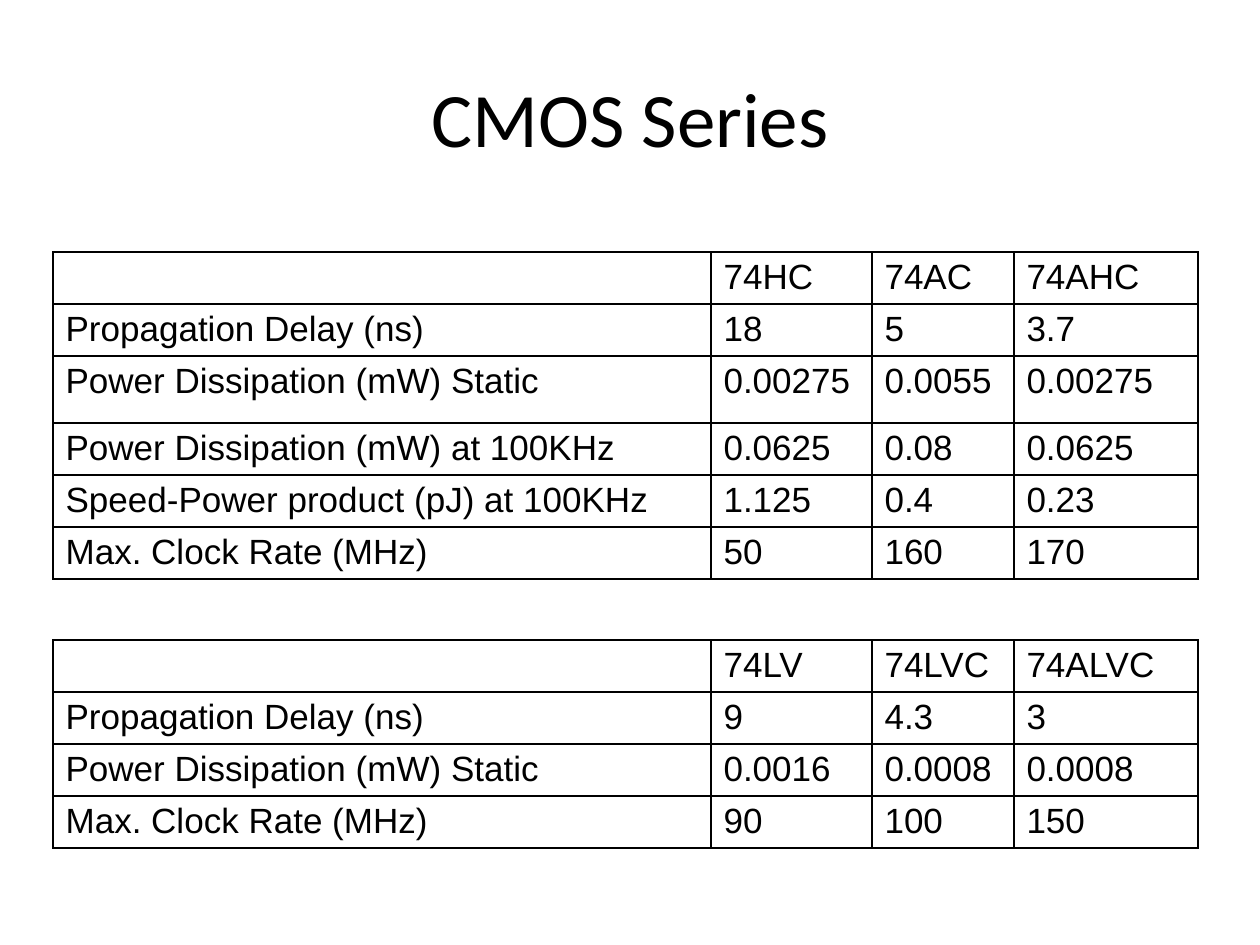
import pptx
import pptx.dml.color
import pptx.enum.text
import pptx.oxml
import pptx.oxml.ns
import pptx.util

EMU_PER_PX = 914400 // 126
COLUMN_WIDTHS = [658, 161, 142, 184]
ROW_HEIGHT = 52
STATIC_ROW_HEIGHT = 67

STANDARD_SERIES = [
    ["", "74HC", "74AC", "74AHC"],
    ["Propagation Delay (ns)", "18", "5", "3.7"],
    ["Power Dissipation (mW) Static", "0.00275", "0.0055", "0.00275"],
    ["Power Dissipation (mW) at 100KHz", "0.0625", "0.08", "0.0625"],
    ["Speed-Power product (pJ) at 100KHz", "1.125", "0.4", "0.23"],
    ["Max. Clock Rate (MHz)", "50", "160", "170"],
]
LOW_VOLTAGE_SERIES = [
    ["", "74LV", "74LVC", "74ALVC"],
    ["Propagation Delay (ns)", "9", "4.3", "3"],
    ["Power Dissipation (mW) Static", "0.0016", "0.0008", "0.0008"],
    ["Max. Clock Rate (MHz)", "90", "100", "150"],
]


def px(length):
    return pptx.util.Emu(length * EMU_PER_PX)


def color(hex_string):
    return pptx.dml.color.RGBColor.from_string(hex_string)


class SlideBuilder:
    ink = "000000"
    title_font, title_size = "Calibri", 44
    table_font, table_size = "Arial", 20
    border_width = 1
    hanging_indent = 48

    def __init__(self, slide):
        self.slide = slide

    def format_font(self, font, name, size):
        font.name = name
        font.size = pptx.util.Pt(size)
        font.color.rgb = color(self.ink)

    def title(self, text, left, top, width, height):
        heading = self.slide.shapes.title
        heading.left, heading.top = px(left), px(top)
        heading.width, heading.height = px(width), px(height)
        frame = heading.text_frame
        frame.text = text
        frame.vertical_anchor = pptx.enum.text.MSO_ANCHOR.MIDDLE
        paragraph = frame.paragraphs[0]
        paragraph.alignment = pptx.enum.text.PP_ALIGN.CENTER
        self.format_font(paragraph.runs[0].font, self.title_font, self.title_size)

    def table(self, rows, left, top, row_heights):
        table = self.slide.shapes.add_table(
            len(rows), len(COLUMN_WIDTHS), px(left), px(top),
            px(sum(COLUMN_WIDTHS)), px(sum(row_heights))).table
        table.first_row = table.horz_banding = False
        for column, width in zip(table.columns, COLUMN_WIDTHS):
            column.width = px(width)
        for row, height, values in zip(table.rows, row_heights, rows):
            row.height = px(height)
            for cell, value in zip(row.cells, values):
                self.cell(cell, value)

    def cell(self, cell, value):
        cell.text_frame.text = value
        paragraph = cell.text_frame.paragraphs[0]
        self.format_font(paragraph.font, self.table_font, self.table_size)
        for run in paragraph.runs:
            self.format_font(run.font, self.table_font, self.table_size)
        paragraph.alignment = pptx.enum.text.PP_ALIGN.JUSTIFY
        # Hanging indent
        properties = paragraph._p.get_or_add_pPr()
        properties.set("marL", str(px(self.hanging_indent)))
        properties.set("indent", str(px(-self.hanging_indent)))
        self.borders(cell)
        cell.fill.background()

    def borders(self, cell):
        properties = cell._tc.get_or_add_tcPr()
        for side in ("lnL", "lnR", "lnT", "lnB"):
            properties.append(pptx.oxml.parse_xml(
                f'<a:{side} {pptx.oxml.ns.nsdecls("a")} '
                f'w="{pptx.util.Pt(self.border_width)}"><a:solidFill>'
                f'<a:srgbClr val="{self.ink}"/></a:solidFill></a:{side}>'))


def main():
    presentation = pptx.Presentation()
    presentation.slide_width, presentation.slide_height = px(1260), px(945)
    title_only = presentation.slide_layouts[5]
    builder = SlideBuilder(presentation.slides.add_slide(title_only))

    # Heading
    builder.title("CMOS Series", 63, 38, 1134, 158)

    # Standard-voltage series, with a taller row for static dissipation
    standard_heights = [ROW_HEIGHT] * len(STANDARD_SERIES)
    standard_heights[2] = STATIC_ROW_HEIGHT
    builder.table(STANDARD_SERIES, 53, 252, standard_heights)

    # Low-voltage series
    builder.table(LOW_VOLTAGE_SERIES, 53, 640,
                  [ROW_HEIGHT] * len(LOW_VOLTAGE_SERIES))

    presentation.save("out.pptx")


if __name__ == "__main__":
    main()
